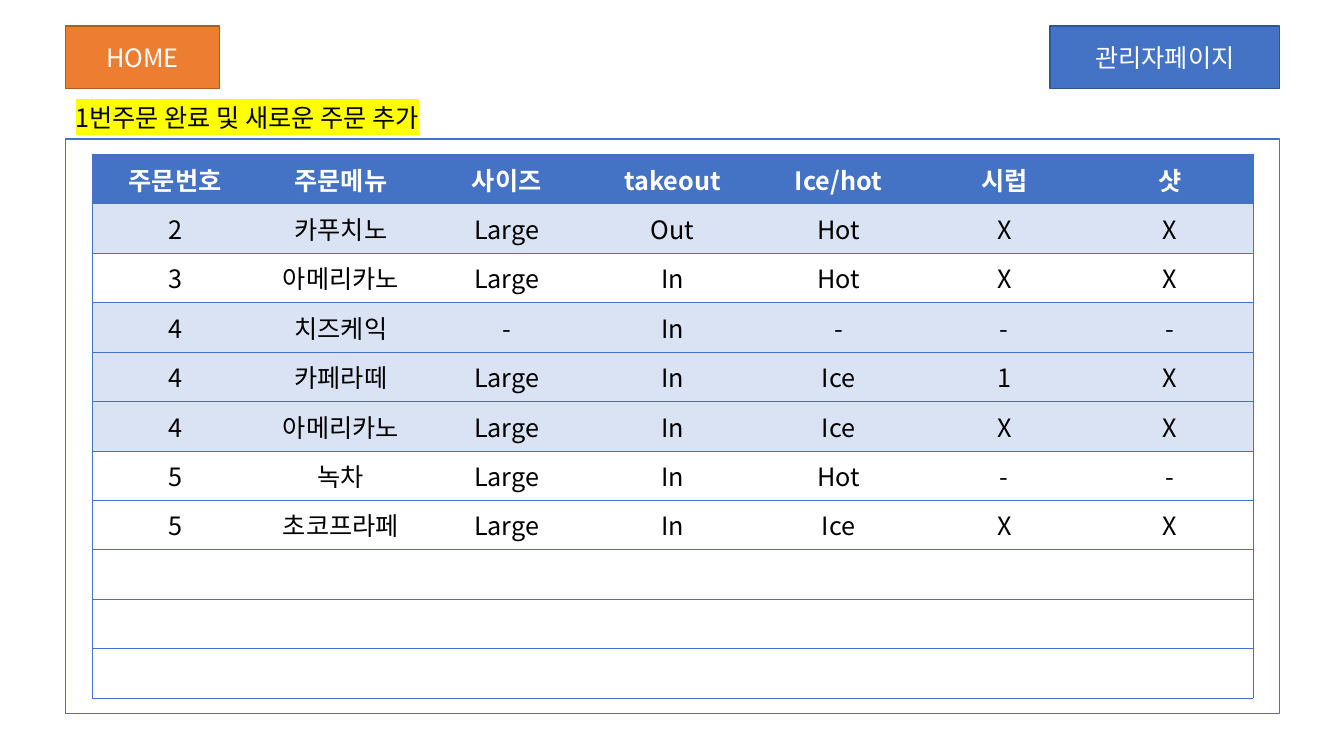
from lxml import etree
from pptx import Presentation
from pptx.dml import color as dml
from pptx.enum import shapes, text
from pptx.oxml import ns
from pptx.util import Cm, Pt

FONT = "Noto Sans CJK KR"
BLUE, PALE, WHITE, BLACK = "4472C4", "DAE3F3", "FFFFFF", "000000"
HEAD = ["주문번호", "주문메뉴", "사이즈", "takeout", "Ice/hot", "시럽", "샷"]
ORDERS = [
    ["2", "카푸치노", "Large", "Out", "Hot", "X", "X"],
    ["3", "아메리카노", "Large", "In", "Hot", "X", "X"],
    ["4", "치즈케익", "-", "In", "-", "-", "-"],
    ["4", "카페라떼", "Large", "In", "Ice", "1", "X"],
    ["4", "아메리카노", "Large", "In", "Ice", "X", "X"],
    ["5", "녹차", "Large", "In", "Hot", "-", "-"],
    ["5", "초코프라페", "Large", "In", "Ice", "X", "X"],
]
SHADED = {"2", "4"}
SPARE = 3


def rgb(code):
    return dml.RGBColor.from_string(code)


def add(parent, tag, **attrs):
    return etree.SubElement(parent, ns.qn(tag), attrs)


def write(frame, words, color=BLACK, bold=False, align="CENTER", anchor="MIDDLE", mark=None):
    frame.word_wrap = True
    frame.vertical_anchor = getattr(text.MSO_ANCHOR, anchor)
    para = frame.paragraphs[0]
    para.alignment = getattr(text.PP_ALIGN, align)
    para.line_spacing = 1.0
    run = para.add_run()
    run.text = words
    font = run.font
    font.size, font.bold = Pt(18), bold
    font.color.rgb = rgb(color)
    props = run._r.get_or_add_rPr()
    if mark:
        add(add(props, "a:highlight"), "a:srgbClr", val=mark)
    font.name = FONT
    add(props, "a:ea", typeface=FONT)


def panel(slide, box, fill, line):
    shape = slide.shapes.add_shape(shapes.MSO_SHAPE.RECTANGLE, *map(Cm, box))
    shape.shadow.inherit = False
    shape.fill.solid()
    shape.fill.fore_color.rgb = rgb(fill)
    shape.line.color.rgb = rgb(line)
    shape.line.width = Pt(1)
    return shape


def header(slide, box):
    left, top, width, height = box
    home, admin = 3.89, 5.79
    for x, wide, words, fill, line in (
        (left, home, "HOME", "ED7D31", "AF5C24"),
        (left + width - admin, admin, "관리자페이지", BLUE, "325491"),
    ):
        button = panel(slide, (x, top, wide, height), fill, line)
        write(button.text_frame, words, color=WHITE)


def notice(slide, box):
    title = slide.shapes.title
    title.left, title.top, title.width, title.height = map(Cm, box)
    title.text_frame.auto_size = text.MSO_AUTO_SIZE.NONE
    write(title.text_frame, "1번주문 완료 및 새로운 주문 추가",
          align="LEFT", anchor="TOP", mark="FFFF00")


def border(cell, sides):
    props = cell._tc.get_or_add_tcPr()
    for side in "LRTB":
        line = add(props, "a:ln" + side, w=str(Pt(0.5)))
        if side in sides:
            add(add(line, "a:solidFill"), "a:srgbClr", val=BLUE)
        else:
            add(line, "a:noFill")


def orders(slide, box):
    left, top, width, height = box
    panel(slide, box, WHITE, BLUE)
    padx, pady = 0.67, 0.39
    rows = [HEAD] + ORDERS + [[""] * len(HEAD)] * SPARE
    wide, high = width - 2 * padx, height - 2 * pady
    table = slide.shapes.add_table(
        len(rows), len(HEAD), Cm(left + padx), Cm(top + pady), Cm(wide), Cm(high)).table
    table.horz_banding = False
    for col in table.columns:
        col.width = Cm(wide / len(HEAD))
    for r, row in enumerate(rows):
        table.rows[r].height = Cm(high / len(rows))
        first = r == 0
        fill = BLUE if first else PALE if row[0] in SHADED else None
        for c, words in enumerate(row):
            cell = table.cell(r, c)
            border(cell, "TB" + "L" * (c == 0) + "R" * (c == len(HEAD) - 1))
            if fill:
                cell.fill.solid()
                cell.fill.fore_color.rgb = rgb(fill)
            else:
                cell.fill.background()
            if words:
                write(cell.text_frame, words, color=WHITE if first else BLACK, bold=first)
                cell.vertical_anchor = text.MSO_ANCHOR.MIDDLE


def main():
    deck = Presentation()
    deck.slide_width, deck.slide_height = Cm(33.87), Cm(19.05)
    slide = deck.slides.add_slide(deck.slide_layouts[5])
    left, width = 1.65, 30.6
    header(slide, (left, 0.66, width, 1.57))
    notice(slide, (left, 2.46, 24.74, 1.02))
    orders(slide, (left, 3.5, width, 14.48))
    deck.save("out.pptx")


if __name__ == "__main__":
    main()
